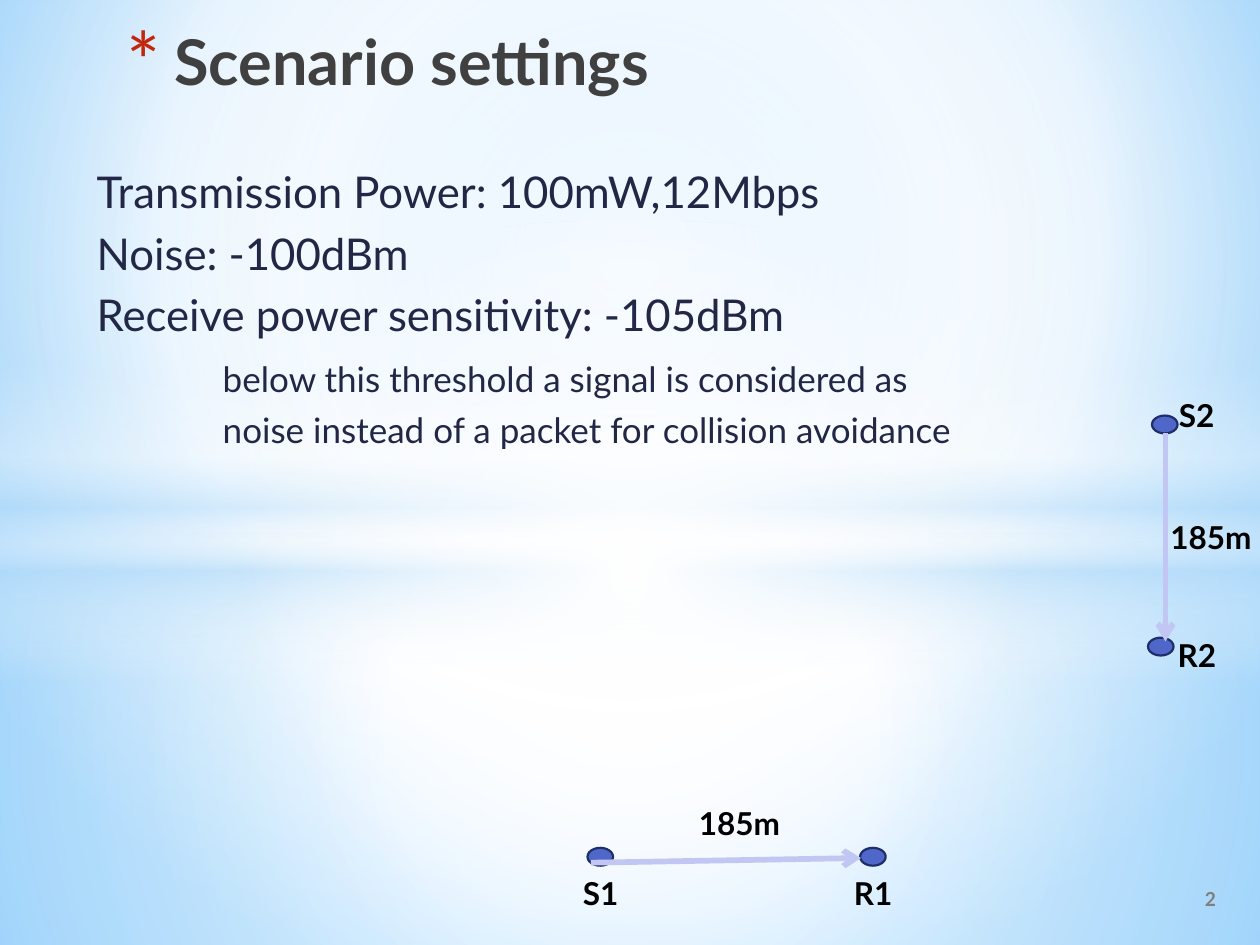
from lxml import etree
from pptx import Presentation
from pptx.dml.color import RGBColor
from pptx.enum.shapes import MSO_CONNECTOR, MSO_SHAPE
from pptx.enum.text import MSO_ANCHOR, PP_ALIGN
from pptx.oxml.ns import qn
from pptx.util import Pt

# Content: (text, size, space before, left indent)
TITLE = "Scenario settings"
SETTINGS = [
    ("Transmission Power: 100mW,12Mbps", 25, 5, 0),
    ("Noise: -100dBm", 25, 5, 0),
    ("Receive power sensitivity: -105dBm", 25, 5, 0),
    ("below this threshold a signal is considered as", 20, 9, 72),
    ("noise instead of a packet for collision avoidance", 20, 5, 72),
]
PAGE_NUMBER = "2"

# Backdrop: stops are (position, colour, opacity), all in percent
BG_STOPS = [(0, "9ED5FF", 100), (60, "FFFFFF", 100), (100, "5BB9FF", 100)]
GLOWS = [  # preset, box, stops, radial
    (MSO_SHAPE.RECTANGLE, (0, 304.5, 720, 235.5),
     [(0, "FFFFFF", 91), (37, "FFFFFF", 76), (100, "B4DCFA", 79)], True),
    (MSO_SHAPE.RECTANGLE, (0, 0, 720, 304.5),
     [(0, "FFFFFF", 89), (48, "FFFFFF", 62), (100, "B4DCFA", 79)], True),
    (MSO_SHAPE.RECTANGLE, (0, 209, 720, 180),
     [(0, "FFFFFF", 0), (29, "FFFFFF", 30), (45, "B4DCFA", 40),
      (55, "FFFFFF", 26), (65, "B4DCFA", 60), (100, "FFFFFF", 0)], False),
    (MSO_SHAPE.OVAL, (0, 126, 720, 402),
     [(0, "FFFFFF", 100), (54, "FFFFFF", 0)], True),
]

# Network diagram, in points
NODE_W, NODE_H = 14.6, 10.2
NODES = [(335.7, 484.5), (491.5, 484.5), (658.3, 237.5), (656, 364.4)]
LINKS = [(337.7, 493, 492, 490.3), (666, 247.5, 666, 366.5)]
LABELS = [  # text, left, top, width
    ("S1", 326, 496, 34.5), ("R1", 481, 496, 36), ("185m", 391.5, 456, 62),
    ("S2", 666.5, 223, 34.5), ("R2", 666, 360, 36), ("185m", 661, 292.5, 62),
]

FONT = "Lato"


def rgb(value):
    return RGBColor.from_string(value)


def set_gradient(props, stops, to=None):
    """Replace the solid fill; radial if `to` is given, else top to bottom."""
    grad = etree.Element(qn("a:gradFill"), rotWithShape="1")
    gs_list = etree.SubElement(grad, qn("a:gsLst"))
    for pos, colour, opacity in stops:
        gs = etree.SubElement(gs_list, qn("a:gs"), pos=str(pos * 1000))
        clr = etree.SubElement(gs, qn("a:srgbClr"), val=colour)
        if opacity < 100:
            etree.SubElement(clr, qn("a:alpha"), val=str(opacity * 1000))
    if to:
        radial = etree.SubElement(grad, qn("a:path"))
        radial.set("path", "circle")
        rect = etree.SubElement(radial, qn("a:fillToRect"))
        for side, pct in zip("ltrb", to):
            rect.set(side, str(pct * 1000))
    else:
        etree.SubElement(grad, qn("a:lin"), ang="5400000", scaled="0")
    props.replace(props.find(qn("a:solidFill")), grad)


def add_preset(preset, box, fill, line=None):
    sp = s.shapes.add_shape(preset, *map(Pt, box))
    sp.shadow.inherit = False
    sp.fill.solid()
    sp.fill.fore_color.rgb = rgb(fill)
    if line:
        sp.line.color.rgb = rgb(line)
        sp.line.width = Pt(1.25)
    else:
        sp.line.fill.background()
    return sp


def add_box(box, wrap=True, anchor=MSO_ANCHOR.TOP, side=7.2):
    tf = s.shapes.add_textbox(*map(Pt, box)).text_frame
    tf.word_wrap = wrap
    tf.vertical_anchor = anchor
    tf.margin_left = tf.margin_right = Pt(side)
    return tf


def write(p, text, size=18, color="000000", bold=True, align=PP_ALIGN.LEFT):
    p.alignment = align
    r = p.add_run()
    r.text = text
    r.font.name = FONT
    r.font.size = Pt(size)
    r.font.bold = bold
    r.font.color.rgb = rgb(color)


prs = Presentation()
prs.slide_width, prs.slide_height = Pt(720), Pt(540)
s = prs.slides.add_slide(prs.slide_layouts[6])

# Backdrop
s.background.fill.solid()
set_gradient(s._element.find(".//" + qn("p:bgPr")), BG_STOPS, (20, 10, 20, 60))
for preset, box, stops, radial in GLOWS:
    glow = add_preset(preset, box, "FFFFFF")
    set_gradient(glow._element.spPr, stops, (50,) * 4 if radial else None)

# Settings
tf = add_box((48.2, 94.3, 646.6, 232.6))
for i, (text, size, before, indent) in enumerate(SETTINGS):
    p = tf.add_paragraph() if i else tf.paragraphs[0]
    write(p, text, size=size, color="212745", bold=False)
    p.line_spacing = 0.9
    p.space_before, p.space_after = Pt(before), Pt(3)
    p._p.get_or_add_pPr().set("marL", str(Pt(indent)))

# Title with its asterisk bullet
p = add_box((65.5, 9.4, 595.4, 79.2)).paragraphs[0]
write(p, TITLE, size=36, color="404040")
pPr = p._p.get_or_add_pPr()
pPr.set("marL", str(Pt(27)))
pPr.set("indent", str(-Pt(27)))
bullet_color = etree.SubElement(pPr, qn("a:buClr"))
etree.SubElement(bullet_color, qn("a:srgbClr"), val="C3260C")
etree.SubElement(pPr, qn("a:buSzPct"), val="128000")
etree.SubElement(pPr, qn("a:buFont"), typeface=FONT)
etree.SubElement(pPr, qn("a:buChar"), char="*")

# Nodes, links and labels
for left, top in NODES:
    add_preset(MSO_SHAPE.OVAL, (left, top, NODE_W, NODE_H), "4E67C8", "1F2E69")
for ends in LINKS:
    link = s.shapes.add_connector(MSO_CONNECTOR.STRAIGHT, *map(Pt, ends))
    link.line.color.rgb = rgb("C1C7F2")
    link.line.width = Pt(3.25)
    etree.SubElement(link.line._get_or_add_ln(), qn("a:tailEnd"), type="arrow")
    etree.SubElement(link._element.spPr, qn("a:effectLst"))
for text, left, top, width in LABELS:
    tf = add_box((left, top, width, 29), wrap=False, side=0)
    write(tf.paragraphs[0], text, align=PP_ALIGN.CENTER)

# Page number
tf = add_box((570, 499, 132, 28.8), anchor=MSO_ANCHOR.MIDDLE)
write(tf.paragraphs[0], PAGE_NUMBER, size=11, color="7F7F7F", align=PP_ALIGN.RIGHT)

prs.save("out.pptx")
